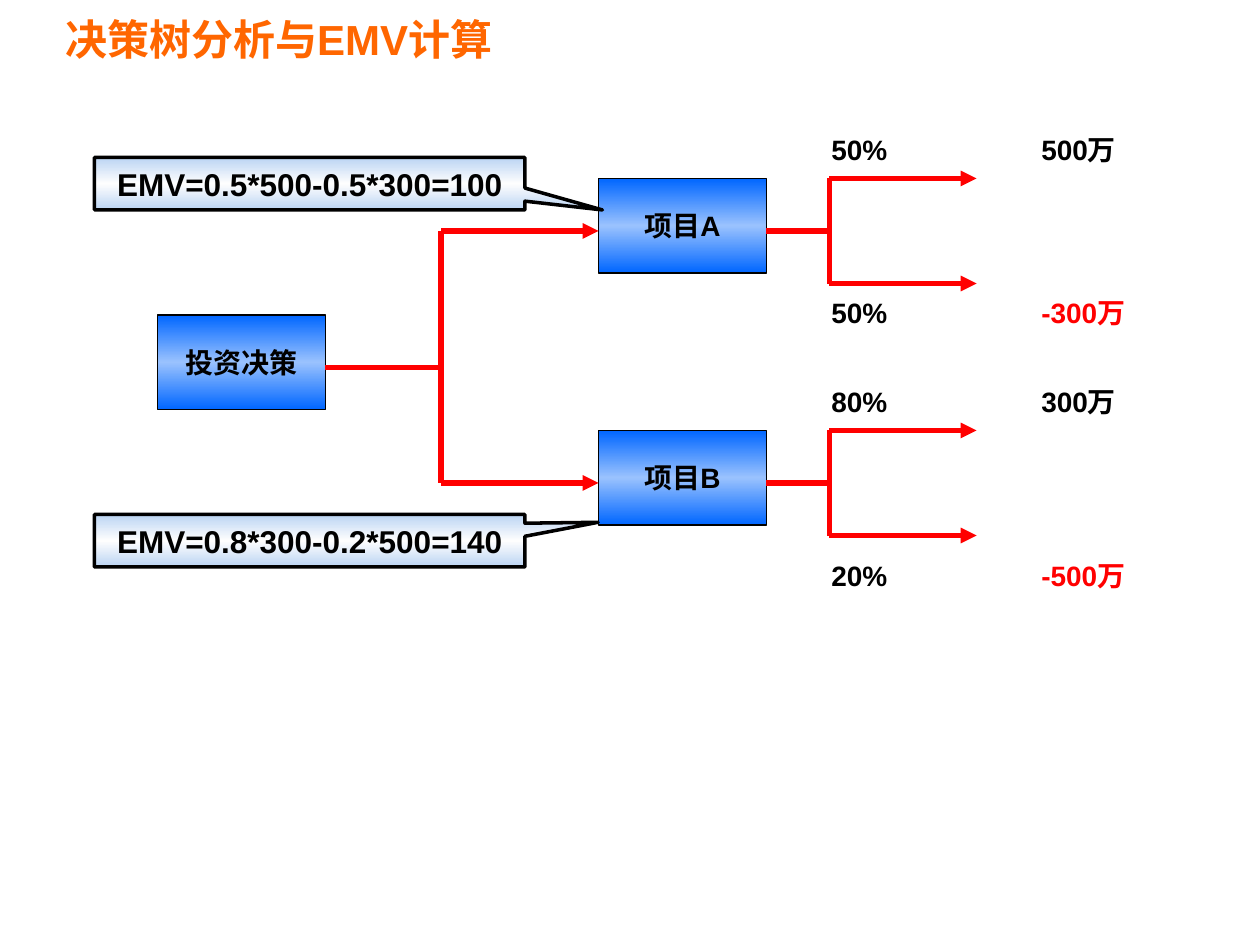
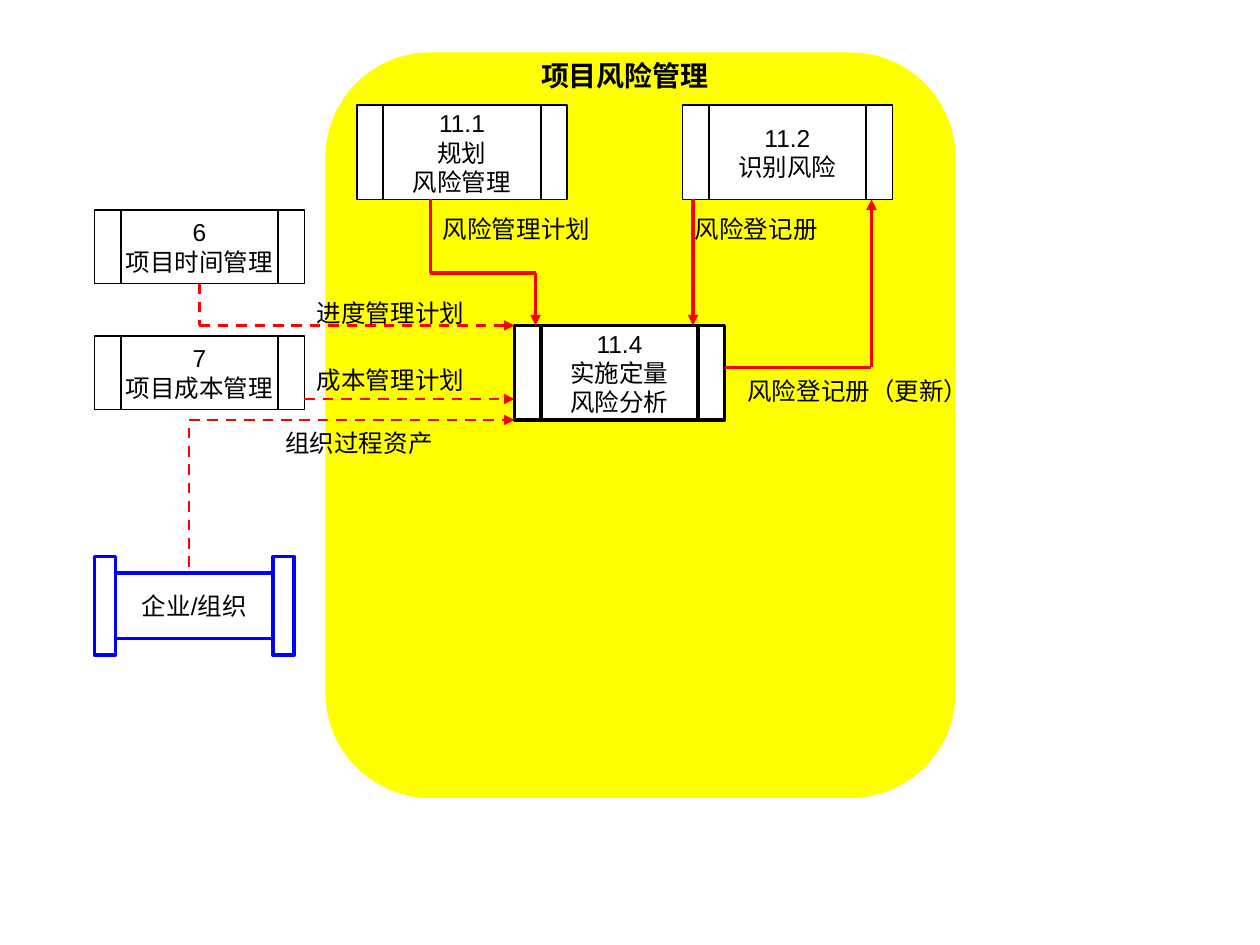
from copy import deepcopy
from itertools import pairwise

from lxml.etree import SubElement
from pptx import Presentation
from pptx.dml.color import RGBColor
from pptx.enum.dml import MSO_LINE_DASH_STYLE as Dash
from pptx.enum.shapes import MSO_CONNECTOR as Connector, MSO_SHAPE as Preset
from pptx.enum.text import MSO_ANCHOR as Anchor, MSO_AUTO_SIZE as AutoSize, PP_ALIGN as Align
from pptx.oxml.ns import qn
from pptx.util import Inches, Pt

BLACK = RGBColor(0x00, 0x00, 0x00)
WHITE = RGBColor(0xFF, 0xFF, 0xFF)
RED = RGBColor(0xFF, 0x00, 0x00)
BLUE = RGBColor(0x00, 0x00, 0xFF)
YELLOW = RGBColor(0xFF, 0xFF, 0x00)
ORANGE = RGBColor(0xFF, 0x66, 0x00)
NODE_BLUES = (RGBColor(0x00, 0x66, 0xFF), RGBColor(0x9A, 0xC2, 0xFE))
CALLOUT_BLUES = (RGBColor(0xBB, 0xD4, 0xF3), RGBColor(0xFE, 0xFE, 0xFE))
FONT = "Arial"
COLUMNS, ROWS = 120, 90
TITLE_ONLY, BLANK = 5, 6


class Deck:
    """Draws styled elements on the current slide, placed in grid columns and rows."""

    def __init__(self):
        self.show = Presentation()
        self.show.slide_width, self.show.slide_height = Inches(10), Inches(7.5)
        self.slide = None

    def x(self, columns):
        return round(self.show.slide_width * columns / COLUMNS)

    def y(self, rows):
        return round(self.show.slide_height * rows / ROWS)

    def area(self, left, top, width, height):
        return self.x(left), self.y(top), self.x(width), self.y(height)

    def new_slide(self, layout):
        self.slide = self.show.slides.add_slide(self.show.slide_layouts[layout])

    def fill_text(self, frame, text, size, color=BLACK, bold=False, align=Align.LEFT,
                  spacing=None):
        for number, line in enumerate(text.split("\n")):
            paragraph = frame.add_paragraph() if number else frame.paragraphs[0]
            paragraph.alignment = align
            paragraph.line_spacing = spacing
            run = paragraph.add_run()
            run.text = line
            run.font.name, run.font.size = FONT, Pt(size)
            run.font.bold, run.font.color.rgb = bold, color

    def title(self, text, place):
        heading = self.slide.shapes.title
        heading.left, heading.top, heading.width, heading.height = self.area(*place)
        frame = heading.text_frame
        frame.auto_size, frame.vertical_anchor = AutoSize.NONE, Anchor.MIDDLE
        self.fill_text(frame, text, 24, ORANGE, True)

    def label(self, text, place, size=14, **style):
        frame = self.slide.shapes.add_textbox(*self.area(*place)).text_frame
        frame.word_wrap, frame.auto_size = True, AutoSize.SHAPE_TO_FIT_TEXT
        self.fill_text(frame, text, size, **style)

    def box(self, preset, place, fill=WHITE, line=BLACK, weight=1, text="", size=14,
            bold=False, wrap=False, adjust=(), group=None):
        shape = (group or self.slide).shapes.add_shape(preset, *self.area(*place))
        shape.shadow.inherit = False
        for index, value in enumerate(adjust):
            shape.adjustments[index] = value
        if isinstance(fill, tuple) and len(fill) == 2:
            self.blend(shape, *fill)
        else:
            shape.fill.solid()
            shape.fill.fore_color.rgb = fill
        if line is None:
            shape.line.fill.background()
        else:
            shape.line.color.rgb, shape.line.width = line, Pt(weight)
        if text:
            frame = shape.text_frame
            frame.word_wrap, frame.vertical_anchor = wrap, Anchor.MIDDLE
            self.fill_text(frame, text, size, bold=bold, align=Align.CENTER)
        return shape

    def blend(self, shape, edge_color, middle_color):
        shape.fill.gradient()
        shape.fill.gradient_angle = 90
        edge, middle = shape.fill.gradient_stops
        edge.position, edge.color.rgb = 0, edge_color
        middle.position, middle.color.rgb = 0.5, middle_color
        stops = shape._element.spPr.find(qn("a:gradFill")).find(qn("a:gsLst"))
        last = deepcopy(stops[0])
        last.set("pos", "100000")
        stops.append(last)

    def route(self, points, weight=2, dashed=False, arrow=True):
        lines = []
        for (x1, y1), (x2, y2) in pairwise(points):
            line = self.slide.shapes.add_connector(
                Connector.STRAIGHT, self.x(x1), self.y(y1), self.x(x2), self.y(y2))
            line.line.color.rgb, line.line.width = RED, Pt(weight)
            if dashed:
                line.line.dash_style = Dash.DASH
            SubElement(line._element.spPr, qn("a:effectLst"))
            lines.append(line)
        if arrow:
            stroke = lines[-1]._element.spPr.find(qn("a:ln"))
            SubElement(stroke, qn("a:tailEnd"), type="triangle")
        return lines

    def fork(self, start, trunk, end, stem, branches):
        self.route([(start, stem), (trunk, stem)], 3, arrow=False)
        self.route([(trunk, row) for row in branches], 3, arrow=False)
        for row in branches:
            self.route([(trunk, row), (end, row)], 3)


def decision_tree(deck):
    deck.new_slide(TITLE_ONLY)
    deck.title("决策树分析与EMV计算", (5, 0, 55, 7.4))
    for name, column, row in (("投资决策", 15, 30), ("项目A", 57, 17), ("项目B", 57, 41)):
        deck.box(Preset.RECTANGLE, (column, row, 16, 9), NODE_BLUES, weight=0.75,
                 text=name, size=16, bold=True)
    deck.fork(31, 42, 57, 35, (22, 46))
    for stem in (22, 46):
        deck.fork(73, 79, 93, stem, (stem - 5, stem + 5))
    outcomes = (("50%", "500万", 12), ("50%", "-300万", 27.6),
                ("80%", "300万", 36), ("20%", "-500万", 52.6))
    for chance, payoff, row in outcomes:
        deck.label(chance, (78, row, 13, 4.4), 16, bold=True)
        deck.label(payoff, (98, row, 13, 4.4), 16, bold=True,
                   color=RED if payoff.startswith("-") else BLACK)
    for formula, row, pointer in (("EMV=0.5*500-0.5*300=100", 15, (0.68, 0.5)),
                                  ("EMV=0.8*300-0.2*500=140", 49, (0.67, -0.35))):
        deck.box(Preset.RECTANGULAR_CALLOUT, (9, row, 41, 5), CALLOUT_BLUES, weight=2,
                 text=formula, size=18, bold=True, wrap=True, adjust=pointer)


def risk_data_flow(deck):
    deck.new_slide(BLANK)
    deck.box(Preset.ROUNDED_RECTANGLE, (31, 5, 60, 71), YELLOW, None, adjust=(1 / 6,))
    deck.label("项目风险管理", (46, 5, 27, 4.4), 16, bold=True, align=Align.CENTER)

    processes = (("11.1\n规划\n风险管理", 34, 10, 9, 1), ("11.2\n识别风险", 65, 10, 9, 1),
                 ("11.4\n实施定量\n风险分析", 49, 31, 9, 2),
                 ("7\n项目成本管理", 9, 32, 7, 1), ("6\n项目时间管理", 9, 20, 7, 1))
    *_, time_management = [
        deck.box(Preset.FLOWCHART_PREDEFINED_PROCESS, (column, row, 20, height),
                 weight=weight, text=name)
        for name, column, row, height, weight in processes]

    enterprise = deck.slide.shapes.add_group_shape()
    deck.box(Preset.RECTANGLE, (11, 54.6, 15, 6.2), line=BLUE, weight=2,
             text="企业/组织", group=enterprise)
    for column in (9, 26):
        deck.box(Preset.RECTANGLE, (column, 53, 2, 9.4), line=BLUE, weight=2, group=enterprise)

    for solid_flow in ([(41, 19), (41, 26), (51, 26), (51, 31)],
                       [(66, 19), (66, 31)],
                       [(69, 35), (83, 35), (83, 19)]):
        deck.route(solid_flow)
    schedule_flow, *_ = [deck.route(flow, 1.5, dashed=True) for flow in (
        [(19, 27), (19, 31), (49, 31)],
        [(29, 38), (49, 38)],
        [(18, 54), (18, 40), (49, 40)])]
    schedule_flow[0].begin_connect(time_management, 2)

    for document, column, row, width in (
            ("风险管理计划", 41, 21, 26), ("风险登记册", 65, 21, 26),
            ("风险登记册（更新）", 70, 36.4, 26), ("成本管理计划", 29, 35.4, 17),
            ("组织过程资产", 26, 41.4, 17), ("进度管理计划", 29, 29, 17)):
        deck.label(document, (column, row, width, 2.6), spacing=0.5)


def main():
    deck = Deck()
    decision_tree(deck)
    risk_data_flow(deck)
    deck.show.save("out.pptx")


if __name__ == "__main__":
    main()
